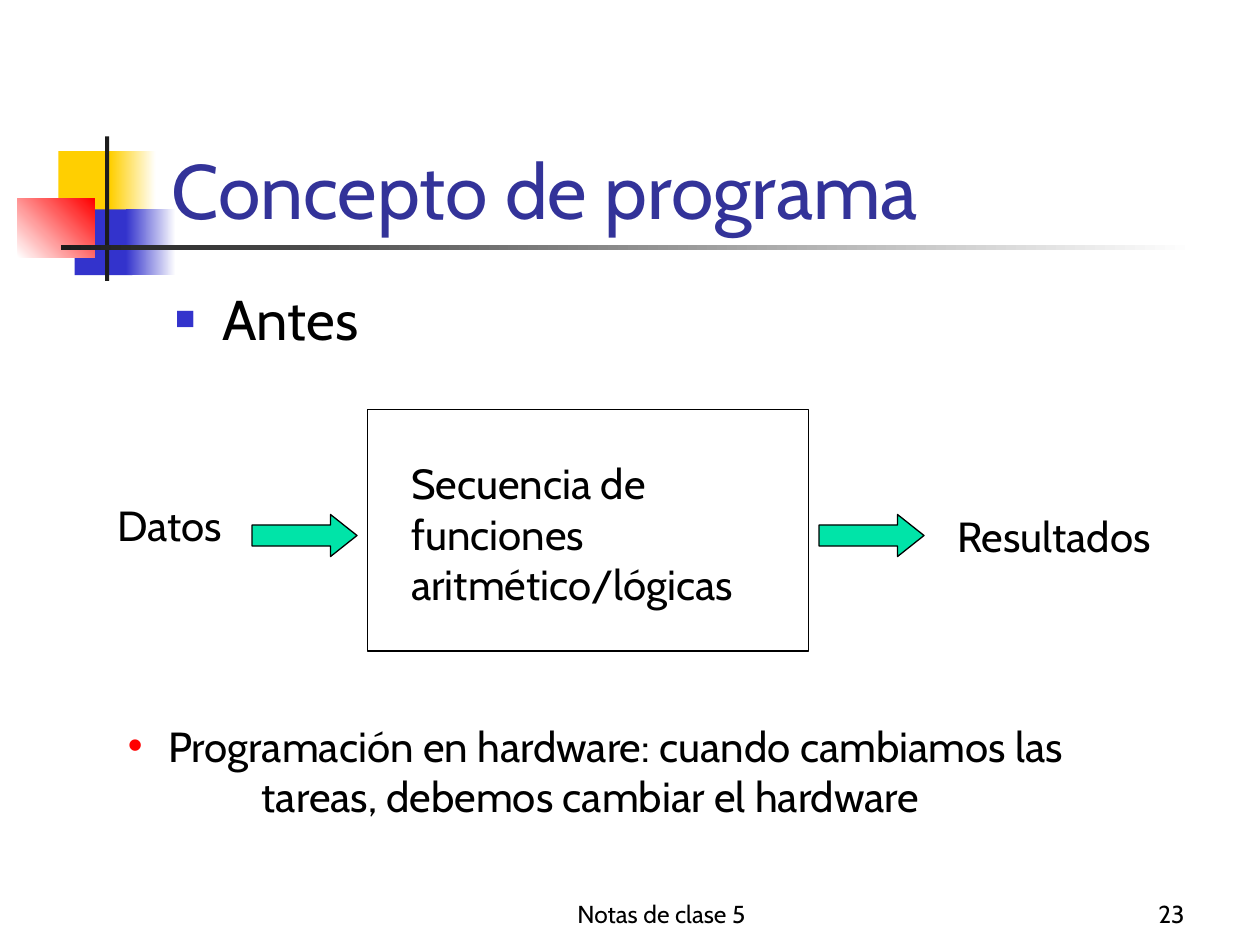
from pptx import Presentation
from pptx.dml.color import RGBColor
from pptx.enum.shapes import MSO_SHAPE as SHAPE
from pptx.enum.text import MSO_ANCHOR as ANCHOR, PP_ALIGN as ALIGN
from pptx.oxml.ns import qn
from pptx.util import Pt
from lxml.etree import SubElement

FONT = "Cabin"
BLACK = RGBColor(0x00, 0x00, 0x00)
WHITE = RGBColor(0xFF, 0xFF, 0xFF)
YELLOW = RGBColor(0xFF, 0xCF, 0x01)
BLUE = RGBColor(0x33, 0x33, 0xCC)
RED = RGBColor(0xFF, 0x00, 0x00)
DARK = RGBColor(0x1C, 0x1C, 0x1C)
NAVY = RGBColor(0x33, 0x33, 0x99)
GREEN = RGBColor(0x00, 0xE4, 0xA8)


class SlideBuilder:
    def __init__(self, slide, font=FONT):
        self.slide = slide
        self.font = font

    def style(self, tf, text, size, color=BLACK, align=ALIGN.LEFT,
              anchor=ANCHOR.TOP):
        tf.text = text
        tf.word_wrap = True
        tf.vertical_anchor = anchor
        for p in tf.paragraphs:
            p.alignment = align
            for r in p.runs:
                r.font.name = self.font
                r.font.size = Pt(size)
                r.font.color.rgb = color

    def title(self, text, x, y, w, h):
        sp = self.slide.shapes.title
        sp.left, sp.top, sp.width, sp.height = Pt(x), Pt(y), Pt(w), Pt(h)
        self.style(sp.text_frame, text, 44, NAVY, anchor=ANCHOR.BOTTOM)

    def text(self, text, x, y, w, h, size=24, parent=None, **style):
        shapes = (parent or self.slide).shapes
        sp = shapes.add_textbox(Pt(x), Pt(y), Pt(w), Pt(h))
        self.style(sp.text_frame, text, size, **style)
        return sp.text_frame.paragraphs

    def indent(self, p, margin, hanging=0):
        pPr = p._p.get_or_add_pPr()
        pPr.set("marL", str(Pt(margin)))
        pPr.set("indent", str(-Pt(hanging)))
        return pPr

    def bullet(self, p, char, color, margin, scale=100):
        pPr = self.indent(p, margin, margin)
        clr = SubElement(pPr, qn("a:buClr"))
        SubElement(clr, qn("a:srgbClr"), val=str(color))
        SubElement(pPr, qn("a:buSzPct"), val=str(scale * 1000))
        SubElement(pPr, qn("a:buFont"), typeface="Arial")
        SubElement(pPr, qn("a:buChar"), char=char)

    def shape(self, x, y, w, h, fill, kind=SHAPE.RECTANGLE, line=None,
              parent=None):
        shapes = (parent or self.slide).shapes
        sp = shapes.add_shape(kind, Pt(x), Pt(y), Pt(w), Pt(h))
        sp.shadow.inherit = False
        sp.fill.solid()
        sp.fill.fore_color.rgb = fill
        if line is None:
            sp.line.fill.background()
        else:
            sp.line.color.rgb = line
            sp.line.width = Pt(0.75)
        return sp

    def fade(self, x, y, w, h, start, end, angle=0):
        """Rectangle with a two-colour gradient; angle is counter-clockwise."""
        fill = self.shape(x, y, w, h, start).fill
        fill.gradient()
        fill.gradient_angle = angle
        for stop, color in zip(fill.gradient_stops, (start, end)):
            stop.color.rgb = color

    def flow(self, label, arrow_x, label_x, label_y, label_w):
        """Arrow grouped with the name of what flows along it."""
        group = self.slide.shapes.add_group_shape()
        arrow = self.shape(arrow_x, 294, 60, 24, GREEN, SHAPE.RIGHT_ARROW,
                           BLACK, group)
        arrow.adjustments[0] = 0.5
        arrow.adjustments[1] = 0.63
        self.text(label, label_x, label_y, label_w, 36, parent=group)


def main():
    prs = Presentation()
    prs.slide_width, prs.slide_height = Pt(720), Pt(540)
    s = SlideBuilder(prs.slides.add_slide(prs.slide_layouts[5]))

    # Corner ornament
    s.shape(33.3, 86.4, 34.5, 37.5, YELLOW)
    s.fade(63, 86.4, 26, 37.5, YELLOW, WHITE)
    s.shape(42.7, 119.7, 33, 37.5, BLUE)
    s.fade(72, 119.7, 28.5, 37.5, BLUE, WHITE)
    s.fade(10, 113.6, 44.2, 33.6, WHITE, RED, 45)
    s.shape(60, 78, 2.4, 82.6, DARK)
    s.fade(34.8, 140.2, 648, 2.5, DARK, WHITE)

    s.title("Concepto de programa", 91, 48, 613.5, 90)
    heading = s.text("Antes", 93, 159, 612, 60, size=32)
    s.bullet(heading[0], "■", BLUE, 27, scale=60)

    # Data, process and results
    s.shape(210, 234, 252, 138, WHITE, line=BLACK)
    s.text("Secuencia de funciones aritmético/lógicas", 228, 258, 216, 122)
    s.flow("Datos", 144, 60, 282, 84)
    s.flow("Resultados", 468, 540, 288, 150)

    first, second = s.text("Programación en hardware: cuando cambiamos las\n"
                           "tareas, debemos cambiar el hardware",
                           66, 408, 594, 94)
    s.bullet(first, "•", RED, 23)
    s.indent(second, 76.5)

    s.text("Notas de clase 5", 264, 498, 228, 36, size=14,
           align=ALIGN.CENTER, anchor=ANCHOR.BOTTOM)
    s.text("23", 534, 498, 150, 36, size=14,
           align=ALIGN.RIGHT, anchor=ANCHOR.BOTTOM)
    prs.save("out.pptx")


if __name__ == "__main__":
    main()
